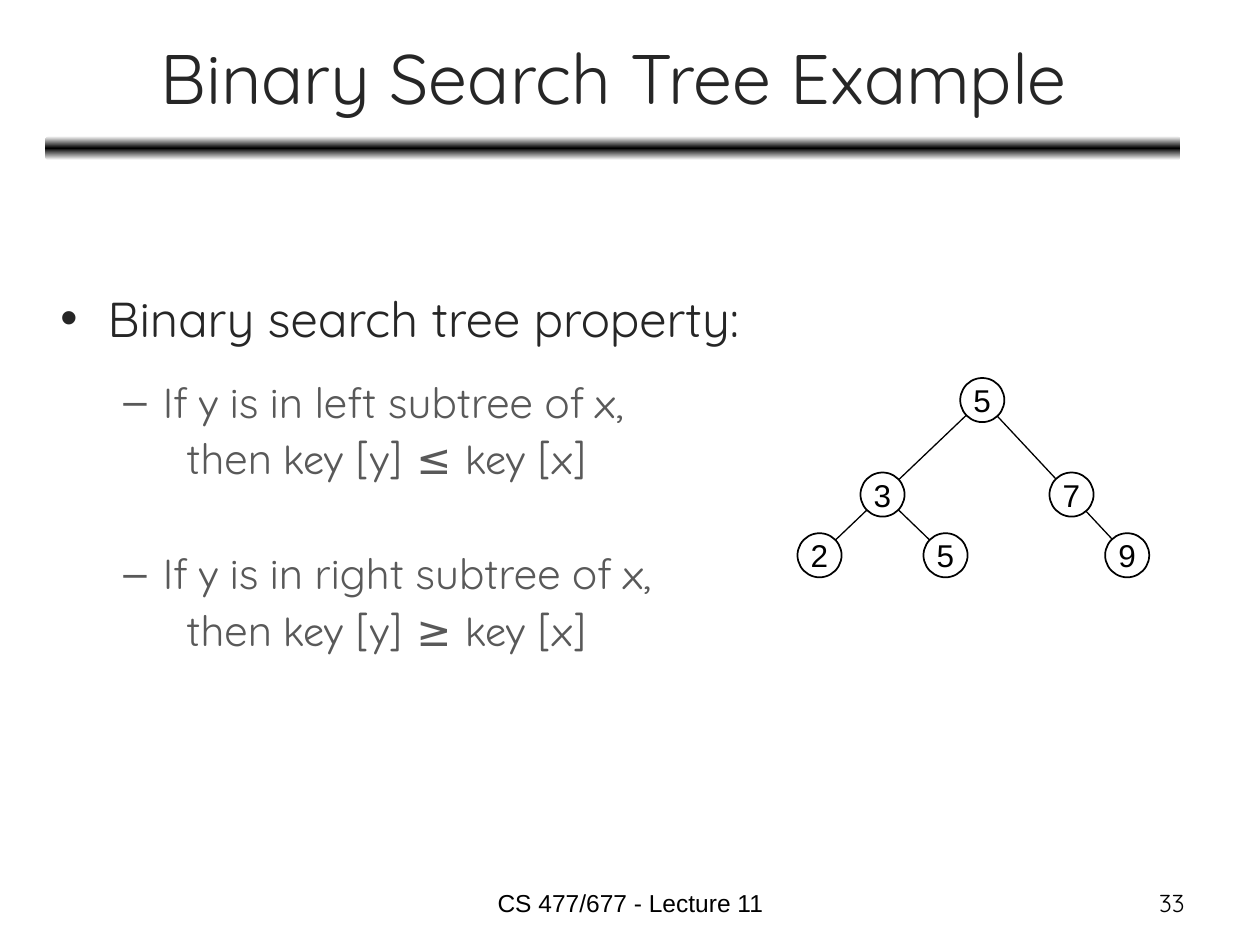
"""Build a slide on the binary search tree property with an example tree."""
from lxml import etree
from pptx import Presentation
from pptx.dml.color import RGBColor
from pptx.enum.shapes import MSO_CONNECTOR, MSO_SHAPE
from pptx.enum.text import MSO_ANCHOR, PP_ALIGN
from pptx.oxml.ns import qn
from pptx.util import Pt

LEFT, CENTER, RIGHT = PP_ALIGN.LEFT, PP_ALIGN.CENTER, PP_ALIGN.RIGHT
MIDDLE = MSO_ANCHOR.MIDDLE
OVAL, BAR, STRAIGHT = MSO_SHAPE.OVAL, MSO_SHAPE.ROUNDED_RECTANGLE, MSO_CONNECTOR.STRAIGHT
BLACK = RGBColor(0x00, 0x00, 0x00)
WHITE = RGBColor(0xFF, 0xFF, 0xFF)
DARK = RGBColor(0x26, 0x26, 0x26)
GRAY = RGBColor(0x59, 0x59, 0x59)
SANS, HAND, PLAIN = "Quicksand", "Comic Neue", "Arial"

TITLE = "Binary Search Tree Example"
LEVELS = [
    {"margin": 27, "hang": 27, "bullet": "•", "size": 28, "color": DARK},
    {"margin": 58.5, "hang": 22.5, "bullet": "–", "size": 24, "color": GRAY},
    {"margin": 90, "hang": 18, "bullet": None, "size": 24, "color": GRAY},
]
BODY = [
    (0, 0, [("Binary search tree property:", SANS)]),
    (1, 16.5, [("If ", SANS), ("y", HAND), (" is in left subtree of ", SANS),
               ("x", HAND), (",", SANS)]),
    (2, 3.5, [("then ", SANS), ("key [y] ≤ key [x]", HAND)]),
    (1, 37, [("If ", SANS), ("y", HAND), (" is in right subtree of ", SANS),
             ("x", HAND), (",", SANS)]),
    (2, 3.5, [("then ", SANS), ("key [y] ≥ key [x]", HAND)]),
]
NODES = {
    "root": ("5", 561.3, 228.6),
    "left": ("3", 504.3, 282.6),
    "right": ("7", 612.3, 282.6),
    "left.left": ("2", 468.3, 317.3),
    "left.right": ("5", 540.3, 317.3),
    "right.right": ("9", 644.1, 317.3),
}
EDGES = [("left", "left.right"), ("root", "right.right"), ("root", "left.left")]
NODE_SIZE = 25.2
FOOTERS = [
    ("CS 477/677 - Lecture 11", (246.2, 504, 228.2, 25.2), PLAIN, CENTER),
    ("33", (516.2, 504, 167.8, 25.2), SANS, RIGHT),
]


def style(font, name, size, color):
    font.name, font.size, font.color.rgb = name, Pt(size), color


def add_text(slide, box):
    tf = slide.shapes.add_textbox(*map(Pt, box)).text_frame
    tf.word_wrap = True
    return tf


def add_title(slide):
    s = slide.shapes.title
    s.left, s.top, s.width, s.height = map(Pt, (26.6, 7.9, 648, 71.3))
    tf = s.text_frame
    tf.text = TITLE
    tf.vertical_anchor = MIDDLE
    p = tf.paragraphs[0]
    p.alignment = CENTER
    style(p.runs[0].font, SANS, 40, DARK)


def add_bar(slide):
    s = slide.shapes.add_shape(BAR, *map(Pt, (25.9, 77.8, 648.7, 13.7)))
    s.shadow.inherit = False
    s.line.fill.background()
    s.fill.solid()
    stops = "".join(
        f'<a:gs pos="{pos}"><a:srgbClr val="{color}"/></a:gs>'
        for pos, color in [(0, WHITE), (50000, BLACK), (100000, WHITE)])
    gradient = etree.fromstring(
        '<a:gradFill xmlns:a="http://schemas.openxmlformats.org/drawingml/2006/main">'
        f'<a:gsLst>{stops}</a:gsLst><a:lin ang="5400000" scaled="0"/></a:gradFill>')
    pr = s._element.spPr
    pr.replace(pr.find(qn("a:solidFill")), gradient)


def add_body(slide):
    tf = add_text(slide, (27.4, 161.3, 440.6, 294.5))
    for i, (level, before, pieces) in enumerate(BODY):
        p = tf.add_paragraph() if i else tf.paragraphs[0]
        look = LEVELS[level]
        p.level, p.alignment, p.space_before = level, LEFT, Pt(before)
        pr = p._p.get_or_add_pPr()
        pr.set("marL", str(Pt(look["margin"])))
        pr.set("indent", str(-Pt(look["hang"])))
        if look["bullet"]:
            etree.SubElement(pr, qn("a:buFont")).set("typeface", PLAIN)
            etree.SubElement(pr, qn("a:buChar")).set("char", look["bullet"])
        for text, font in pieces:
            r = p.add_run()
            r.text = text
            style(r.font, font, look["size"], look["color"])


def add_tree(slide):
    for ends in EDGES:
        points = [Pt(v) for end in ends for v in NODES[end][1:]]
        c = slide.shapes.add_connector(STRAIGHT, *points)
        c.line.color.rgb, c.line.width = BLACK, Pt(0.75)
        etree.SubElement(c._element.spPr, qn("a:effectLst"))
    for key, x, y in NODES.values():
        box = (x - NODE_SIZE / 2, y - NODE_SIZE / 2, NODE_SIZE, NODE_SIZE)
        s = slide.shapes.add_shape(OVAL, *map(Pt, box))
        s.shadow.inherit = False
        s.fill.solid()
        s.fill.fore_color.rgb = WHITE
        s.line.color.rgb, s.line.width = BLACK, Pt(1)
        tf = s.text_frame
        tf.text = key
        tf.word_wrap, tf.vertical_anchor = False, MIDDLE
        p = tf.paragraphs[0]
        p.alignment = CENTER
        style(p.runs[0].font, PLAIN, 18, BLACK)


def add_footers(slide):
    for text, box, font, align in FOOTERS:
        tf = add_text(slide, box)
        tf.text = text
        p = tf.paragraphs[0]
        p.alignment = align
        style(p.runs[0].font, font, 14, BLACK)


def main():
    prs = Presentation()
    prs.slide_width, prs.slide_height = Pt(720), Pt(540)
    slide = prs.slides.add_slide(prs.slide_layouts[5])
    add_bar(slide)
    add_title(slide)
    add_body(slide)
    add_tree(slide)
    add_footers(slide)
    prs.save("out.pptx")


if __name__ == "__main__":
    main()
